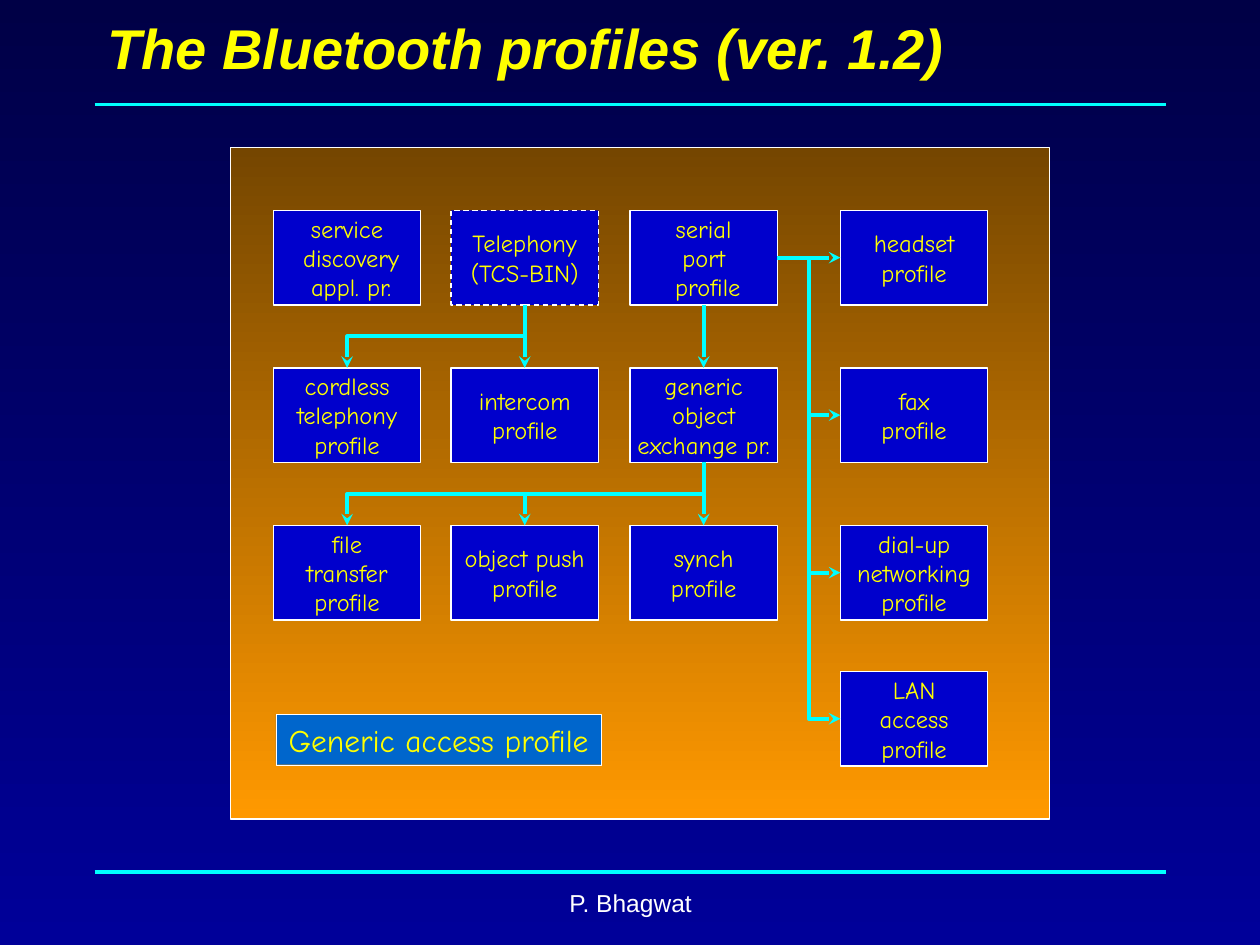
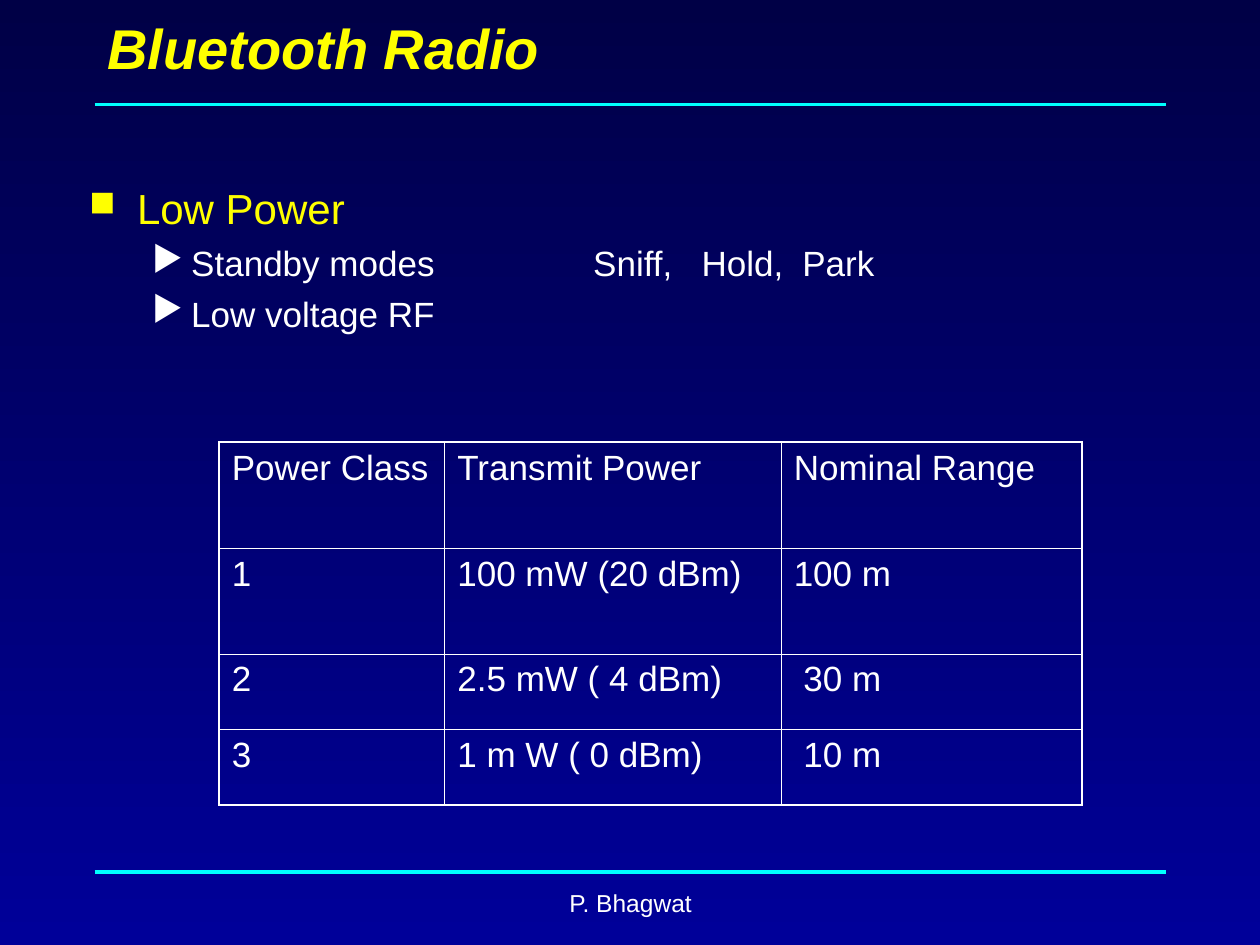
from dataclasses import dataclass

from pptx import Presentation
from pptx.dml.color import RGBColor
from pptx.enum.dml import MSO_LINE
from pptx.enum.shapes import MSO_CONNECTOR, MSO_SHAPE
from pptx.enum.text import MSO_ANCHOR, MSO_AUTO_SIZE, PP_ALIGN
from pptx.oxml.ns import qn
from pptx.util import Inches, Pt
from lxml import etree

RECTANGLE = MSO_SHAPE.RECTANGLE
STRAIGHT, ELBOW = MSO_CONNECTOR.STRAIGHT, MSO_CONNECTOR.ELBOW
MIDDLE, TOP = MSO_ANCHOR.MIDDLE, MSO_ANCHOR.TOP
LEFT, CENTER = PP_ALIGN.LEFT, PP_ALIGN.CENTER
DASH, NO_AUTOFIT = MSO_LINE.DASH, MSO_AUTO_SIZE.NONE

# Shared look
YELLOW, WHITE, CYAN = "FFFF00", "FFFFFF", "00FFFF"
BOX_BLUE, BASE_BLUE = "0000CC", "0066CC"
PAGE_GRADIENT = ("000046", "000099")
PANEL_GRADIENT = ("754600", "FF9900")
TITLE_FONT = {"name": "Arial", "size": Pt(32), "bold": True, "italic": True}
FOOTER_FONT = {"name": "Arial", "size": Pt(14)}
TOPIC_FONT = {"name": "Arial", "size": Pt(24)}
DETAIL_FONT = {"name": "Arial", "size": Pt(20)}
PROFILE_FONT = {"name": "Comic Neue", "size": Pt(14)}
BASE_FONT = {"name": "Comic Neue", "size": Pt(18)}
FOOTER = "P. Bhagwat"
RULE_HEIGHTS = (0.83, 6.92)

# Profile grid, in inches
COLUMNS = (2.17, 3.58, 5.0, 6.67)
ROWS = (1.67, 2.92, 4.17, 5.33)
BOX_WIDTH, BOX_HEIGHT = 1.17, 0.75


@dataclass(frozen=True)
class Profile:
    column: int
    row: int
    lines: tuple[str, ...]
    dashed: bool = False

    @property
    def left(self) -> float:
        return COLUMNS[self.column]

    @property
    def top(self) -> float:
        return ROWS[self.row]

    @property
    def center_x(self) -> float:
        return self.left + BOX_WIDTH / 2

    @property
    def center_y(self) -> float:
        return self.top + BOX_HEIGHT / 2


@dataclass(frozen=True)
class Bullet:
    text: str
    color: str
    font: dict
    symbol: str
    symbol_percent: int
    indent: float
    hanging: float
    space_before: float
    level: int = 0
    tabs: tuple[float, ...] = ()


PROFILES = {
    "discovery": Profile(0, 0, ("service", " discovery", " appl. pr.")),
    "telephony": Profile(1, 0, ("Telephony", "(TCS-BIN)"), dashed=True),
    "serial": Profile(2, 0, ("serial", "port", " profile")),
    "headset": Profile(3, 0, ("headset", "profile")),
    "cordless": Profile(0, 1, ("cordless", "telephony", "profile")),
    "intercom": Profile(1, 1, ("intercom", "profile")),
    "exchange": Profile(2, 1, ("generic", "object", "exchange pr.")),
    "fax": Profile(3, 1, ("fax", "profile")),
    "file": Profile(0, 2, ("file", "transfer", "profile")),
    "push": Profile(1, 2, ("object push", "profile")),
    "synch": Profile(2, 2, ("synch", "profile")),
    "dial-up": Profile(3, 2, ("dial-up", "networking", "profile")),
    "lan": Profile(3, 3, ("LAN", "access", "profile")),
}
DOWN_LINKS = {
    "telephony": ("intercom", "cordless"),
    "serial": ("exchange",),
    "exchange": ("file", "push", "synch"),
}
SIDE_LINKS = {"serial": ("headset", "fax", "dial-up", "lan")}

DETAIL = {"color": WHITE, "font": DETAIL_FONT, "symbol": "▶", "symbol_percent": 100,
          "indent": 0.81, "hanging": 0.31, "space_before": 5, "level": 1}
BULLETS = (
    Bullet("Low Power", YELLOW, TOPIC_FONT, "■", 85, 0.38, 0.38, 0),
    Bullet("Standby modes\tSniff,\tHold,\tPark", tabs=(4, 4.86, 5.66), **DETAIL),
    Bullet("Low voltage RF", **DETAIL),
)
POWER_ROWS = (
    ("Power Class", "Transmit Power", "Nominal Range"),
    ("1", "100 mW (20 dBm)", "100 m"),
    ("2", "2.5 mW ( 4 dBm)", " 30 m"),
    ("3", "1 m W ( 0 dBm)", " 10 m"),
)
POWER_WIDTHS = (1.79, 2.67, 2.39)
POWER_HEIGHTS = (0.84, 0.84, 0.6, 0.6)
OUTER_BORDER, INNER_BORDER = 1.08, 0.45


def rgb(color: str) -> RGBColor:
    return RGBColor.from_string(color)


def inches(*lengths: float) -> list:
    return [Inches(length) for length in lengths]


def add_xml(parent, tag: str, **attributes):
    return etree.SubElement(parent, qn(tag), {key: str(value) for key, value in attributes.items()})


def fill_gradient(fill, colors: tuple[str, str]) -> None:
    fill.gradient()
    fill.gradient_angle = 270
    for stop, color in zip(fill.gradient_stops, colors):
        stop.color.rgb = rgb(color)


def fill_solid(fill, color: str) -> None:
    fill.solid()
    fill.fore_color.rgb = rgb(color)


def format_font(font, values: dict, color: str) -> None:
    for name, value in values.items():
        setattr(font, name, value)
    font.color.rgb = rgb(color)


def write_lines(frame, lines, values: dict, color: str, align=LEFT, anchor=TOP, wrap=True) -> None:
    frame.word_wrap = wrap
    frame.vertical_anchor = anchor
    for index, line in enumerate(lines):
        para = frame.paragraphs[0] if index == 0 else frame.add_paragraph()
        para.text = line
        para.alignment = align
        format_font(para.font, values, color)


def add_box(page, bounds: tuple, line_width: float):
    box = page.shapes.add_shape(RECTANGLE, *inches(*bounds))
    box.shadow.inherit = False
    box.line.width = Pt(line_width)
    box.line.color.rgb = rgb(WHITE)
    return box


def add_line(page, kind, start: tuple, end: tuple, width: float):
    line = page.shapes.add_connector(kind, *inches(*start, *end))
    line.line.color.rgb = rgb(CYAN)
    line.line.width = Pt(width)
    add_xml(line._element.spPr, "a:effectLst")
    return line


def add_arrow(page, start: tuple, end: tuple, downward: bool) -> None:
    (x1, y1), (x2, y2) = start, end
    if x1 == x2 or y1 == y2:
        arrow = add_line(page, STRAIGHT, start, end, 2.25)
    elif downward:
        # A quarter turn makes the elbow leave vertically
        middle_x, middle_y = (x1 + x2) / 2, (y1 + y2) / 2
        half_run, half_rise = (y2 - y1) / 2, (x1 - x2) / 2
        arrow = add_line(page, ELBOW, (middle_x - half_run, middle_y - half_rise),
                         (middle_x + half_run, middle_y + half_rise), 2.25)
        arrow._element.spPr.find(qn("a:xfrm")).set("rot", "5400000")
    else:
        arrow = add_line(page, ELBOW, start, end, 2.25)
    add_xml(arrow._element.spPr.find(qn("a:ln")), "a:tailEnd", type="stealth")


def add_page(deck, layout, title: str):
    page = deck.slides.add_slide(layout)
    for height in RULE_HEIGHTS:
        add_line(page, STRAIGHT, (0.75, height), (9.25, height), 2)
    heading = page.shapes.title
    heading.left, heading.top, heading.width, heading.height = inches(0.75, 0, 8.5, 0.75)
    write_lines(heading.text_frame, [title], TITLE_FONT, YELLOW, anchor=MIDDLE)
    heading.text_frame.auto_size = NO_AUTOFIT
    footer = page.shapes.add_textbox(*inches(3.42, 7, 3.17, 0.5))
    write_lines(footer.text_frame, [FOOTER], FOOTER_FONT, WHITE, CENTER)
    return page


def add_profile(page, profile: Profile) -> None:
    box = add_box(page, (profile.left, profile.top, BOX_WIDTH, BOX_HEIGHT), 0.75)
    fill_solid(box.fill, BOX_BLUE)
    if profile.dashed:
        box.line.dash_style = DASH
    write_lines(box.text_frame, profile.lines, PROFILE_FONT, YELLOW, CENTER, MIDDLE, False)


def build_profiles(page) -> None:
    panel = add_box(page, (1.83, 1.17, 6.5, 5.33), 0.75)
    fill_gradient(panel.fill, PANEL_GRADIENT)
    for profile in PROFILES.values():
        add_profile(page, profile)
    # Links between profiles
    for source, targets in DOWN_LINKS.items():
        parent = PROFILES[source]
        for target in targets:
            child = PROFILES[target]
            add_arrow(page, (parent.center_x, parent.top + BOX_HEIGHT),
                      (child.center_x, child.top), True)
    for source, targets in SIDE_LINKS.items():
        parent = PROFILES[source]
        for target in targets:
            child = PROFILES[target]
            add_arrow(page, (parent.left + BOX_WIDTH, parent.center_y),
                      (child.left, child.center_y), False)
    base = add_box(page, (2.19, 5.67, 2.58, 0.4), 0.25)
    fill_solid(base.fill, BASE_BLUE)
    write_lines(base.text_frame, ["Generic access profile"], BASE_FONT, YELLOW, CENTER, MIDDLE, False)


def add_bullet(para, bullet: Bullet) -> None:
    para.text = bullet.text
    para.level = bullet.level
    para.space_before = Pt(bullet.space_before)
    properties = para._p.get_or_add_pPr()
    properties.set("marL", str(Inches(bullet.indent)))
    properties.set("indent", str(-Inches(bullet.hanging)))
    add_xml(add_xml(properties, "a:buClr"), "a:srgbClr", val=bullet.color)
    add_xml(properties, "a:buSzPct", val=bullet.symbol_percent * 1000)
    add_xml(properties, "a:buChar", char=bullet.symbol)
    if bullet.tabs:
        stops = add_xml(properties, "a:tabLst")
        for position in bullet.tabs:
            add_xml(stops, "a:tab", pos=Inches(position), algn="l")
    format_font(para.font, bullet.font, bullet.color)


def add_borders(cell, outer_sides: dict[str, bool]) -> None:
    properties = cell._tc.get_or_add_tcPr()
    for side, is_outer in outer_sides.items():
        width = Pt(OUTER_BORDER if is_outer else INNER_BORDER)
        border = add_xml(properties, f"a:ln{side}", w=width)
        add_xml(add_xml(border, "a:solidFill"), "a:srgbClr", val=WHITE)


def build_radio(page) -> None:
    body = page.shapes.add_textbox(*inches(0.61, 1.4, 9, 1.41)).text_frame
    body.word_wrap = True
    for index, bullet in enumerate(BULLETS):
        add_bullet(body.paragraphs[0] if index == 0 else body.add_paragraph(), bullet)
    # Power classes
    row_count, column_count = len(POWER_ROWS), len(POWER_WIDTHS)
    table = page.shapes.add_table(row_count, column_count, *inches(
        1.74, 3.51, sum(POWER_WIDTHS), sum(POWER_HEIGHTS))).table
    table.first_row = table.horz_banding = False
    for column, width in zip(table.columns, POWER_WIDTHS):
        column.width = Inches(width)
    for r, (row, height, values) in enumerate(zip(table.rows, POWER_HEIGHTS, POWER_ROWS)):
        row.height = Inches(height)
        for c, (cell, value) in enumerate(zip(row.cells, values)):
            add_borders(cell, {"L": c == 0, "R": c == column_count - 1,
                               "T": r == 0, "B": r == row_count - 1})
            cell.fill.background()
            write_lines(cell.text_frame, [value], DETAIL_FONT, WHITE)


def main() -> None:
    deck = Presentation()
    deck.slide_width, deck.slide_height = inches(10, 7.5)
    layout = deck.slide_layouts.get_by_name("Title Only")
    fill_gradient(layout.background.fill, PAGE_GRADIENT)
    build_profiles(add_page(deck, layout, "The Bluetooth profiles (ver. 1.2)"))
    build_radio(add_page(deck, layout, "Bluetooth Radio"))
    deck.save("out.pptx")


if __name__ == "__main__":
    main()
